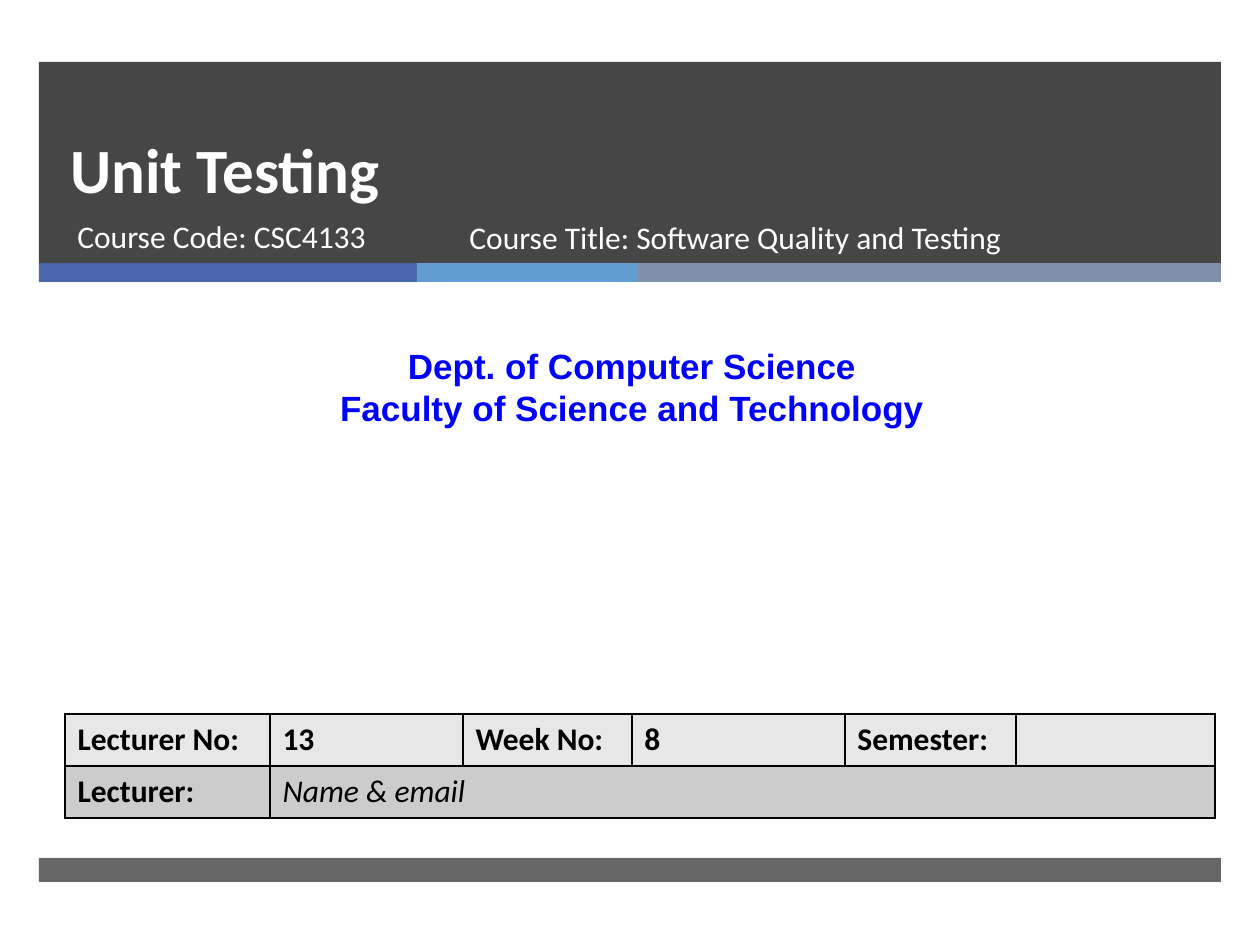
import pptx
import pptx.util
import pptx.dml.color
import pptx.enum.shapes
import pptx.enum.text
import pptx.oxml
import pptx.oxml.ns
import lxml.etree

RGB = pptx.dml.color.RGBColor
ALIGN = pptx.enum.text.PP_ALIGN
ANCHOR = pptx.enum.text.MSO_ANCHOR
WHITE = RGB(0xFF, 0xFF, 0xFF)
BLACK = RGB(0x00, 0x00, 0x00)
CHARCOAL = RGB(0x26, 0x26, 0x26)
NAVY = RGB(0x4A, 0x66, 0xAC)
SKY = RGB(0x62, 0x9D, 0xD1)
SLATE = RGB(0x7F, 0x8F, 0xA9)
BLUE = RGB(0x00, 0x00, 0xFF)
LIGHT_GREY = RGB(0xE7, 0xE7, 0xE7)
MID_GREY = RGB(0xCC, 0xCC, 0xCC)

# Content: lengths in px, 126 to the inch
SCALE = 914400 / 126
SLIDE_SIZE = (1260, 945)
BANDS = [  # left, top, width, height, colour, opacity in percent
    (39, 62, 1182, 202, CHARCOAL, 85),
    (39, 263, 378, 19, NAVY, 100),
    (417, 263, 221, 19, SKY, 100),
    (638, 263, 583, 19, SLATE, 100),
    (39, 858, 1182, 24, CHARCOAL, 70),
]
TEXTS = [  # place, lines, format
    ((58, 110, 1076, 102), ["Unit Testing"],
     dict(size=36, color=WHITE, bold=True, spacing=46, anchor=ANCHOR.BOTTOM)),
    ((65, 211, 384, 67), ["Course Code: CSC4133"], dict(color=WHITE)),
    ((10, 338, 1244, 97),
     ["Dept. of Computer Science", "Faculty of Science and Technology"],
     dict(size=20, font="Arial", color=BLUE, bold=True, align=ALIGN.CENTER)),
    ((457, 212, 573, 67), ["Course Title: Software Quality and Testing"],
     dict(color=WHITE)),
]
TABLE_LEFT, TABLE_TOP, ROW_HEIGHT = 65, 714, 52
COLUMN_WIDTHS = [205, 193, 169, 213, 171, 199]
TABLE_ROWS = [
    (LIGHT_GREY, ["Lecturer No:", "13", "Week No:", "8", "Semester:", ""]),
    (MID_GREY, ["Lecturer:", "Name & email"]),
]


def px(length):
    return pptx.util.Emu(round(length * SCALE))


def write_text(frame, lines, size=18, font="Calibri", color=BLACK, bold=False,
               italic=False, align=ALIGN.LEFT, spacing=None, anchor=ANCHOR.TOP):
    frame.word_wrap = True
    frame.vertical_anchor = anchor
    for index, line in enumerate(lines):
        para = frame.add_paragraph() if index else frame.paragraphs[0]
        para.alignment = align
        if spacing:
            para.line_spacing = pptx.util.Pt(spacing)
        span = para.add_run()
        span.text = line
        span.font.size = pptx.util.Pt(size)
        span.font.name = font
        span.font.color.rgb = color
        span.font.bold = bold
        span.font.italic = italic


def add_band(page, left, top, width, height, color, opacity):
    band = page.shapes.add_shape(pptx.enum.shapes.MSO_SHAPE.RECTANGLE,
                                 px(left), px(top), px(width), px(height))
    band.shadow.inherit = False
    band.line.fill.background()
    band.fill.solid()
    band.fill.fore_color.rgb = color
    if opacity < 100:
        tone = band.fill._xPr.find(".//" + pptx.oxml.ns.qn("a:srgbClr"))
        alpha = lxml.etree.SubElement(tone, pptx.oxml.ns.qn("a:alpha"))
        alpha.set("val", str(opacity * 1000))


def add_borders(cell):
    properties = cell._tc.get_or_add_tcPr()
    for index, side in enumerate(("lnL", "lnR", "lnT", "lnB")):
        properties.insert(index, pptx.oxml.parse_xml(
            f'<a:{side} {pptx.oxml.ns.nsdecls("a")} w="12700"><a:solidFill>'
            f'<a:srgbClr val="{BLACK}"/></a:solidFill></a:{side}>'))


def add_lecture_table(page):
    table = page.shapes.add_table(
        len(TABLE_ROWS), len(COLUMN_WIDTHS), px(TABLE_LEFT), px(TABLE_TOP),
        px(sum(COLUMN_WIDTHS)), px(ROW_HEIGHT * len(TABLE_ROWS))).table
    for column, width in zip(table.columns, COLUMN_WIDTHS):
        column.width = px(width)
    for row_index, (fill, labels) in enumerate(TABLE_ROWS):
        table.rows[row_index].height = px(ROW_HEIGHT)
        for cell in table.rows[row_index].cells:
            cell.fill.solid()
            cell.fill.fore_color.rgb = fill
            add_borders(cell)
        for column_index, label in enumerate(labels):
            if label:
                italic = label == "Name & email"
                write_text(table.cell(row_index, column_index).text_frame,
                           [label], bold=not italic, italic=italic)
    table.cell(1, 1).merge(table.cell(1, len(COLUMN_WIDTHS) - 1))


def main():
    deck = pptx.Presentation()
    deck.slide_width, deck.slide_height = map(px, SLIDE_SIZE)
    page = deck.slides.add_slide(deck.slide_layouts[6])

    # Header and footer bands
    for band in BANDS:
        add_band(page, *band)

    # Title, course and department
    for place, lines, style in TEXTS:
        box = page.shapes.add_textbox(*map(px, place))
        write_text(box.text_frame, lines, **style)

    # Lecture details
    add_lecture_table(page)
    deck.save("out.pptx")


if __name__ == "__main__":
    main()
